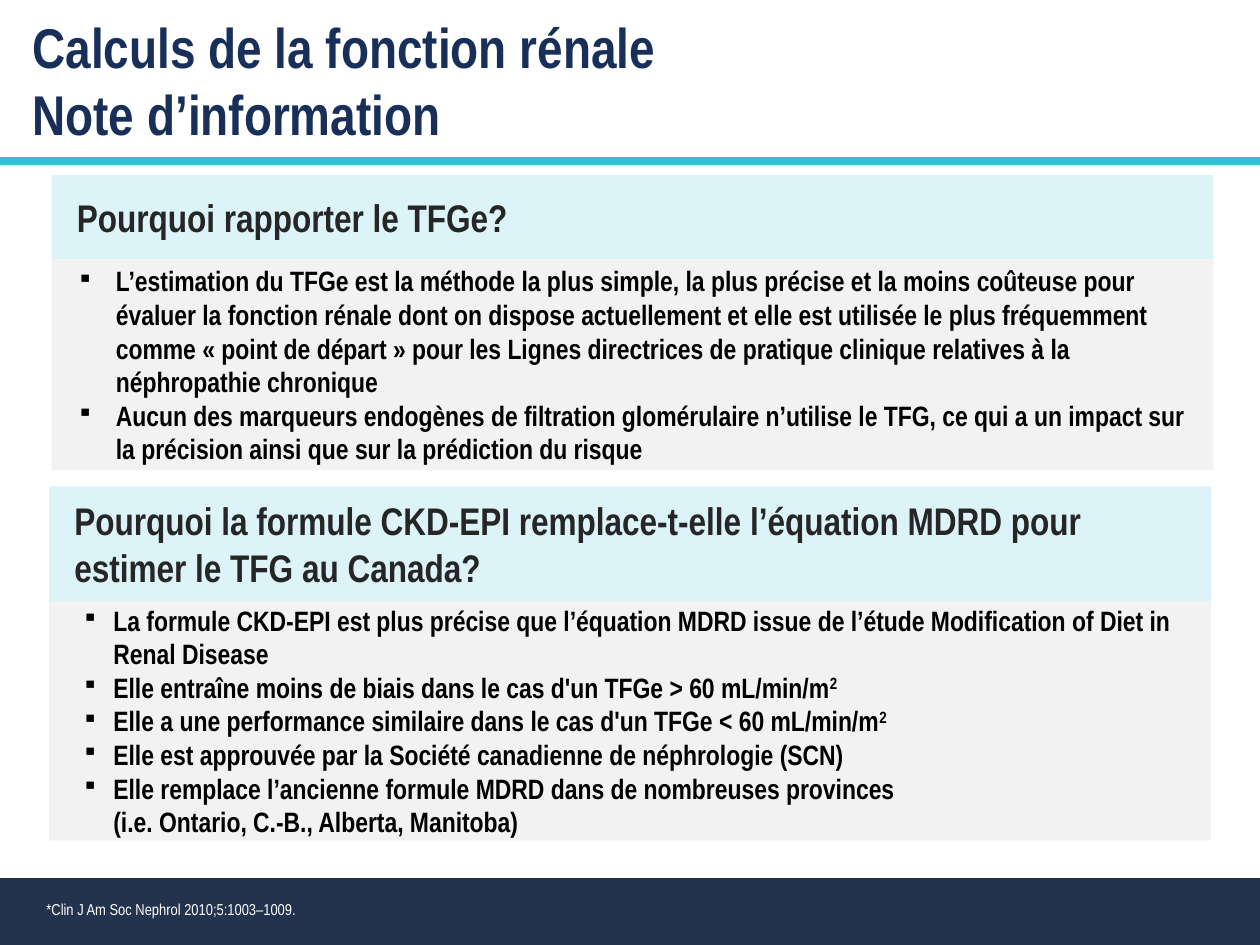
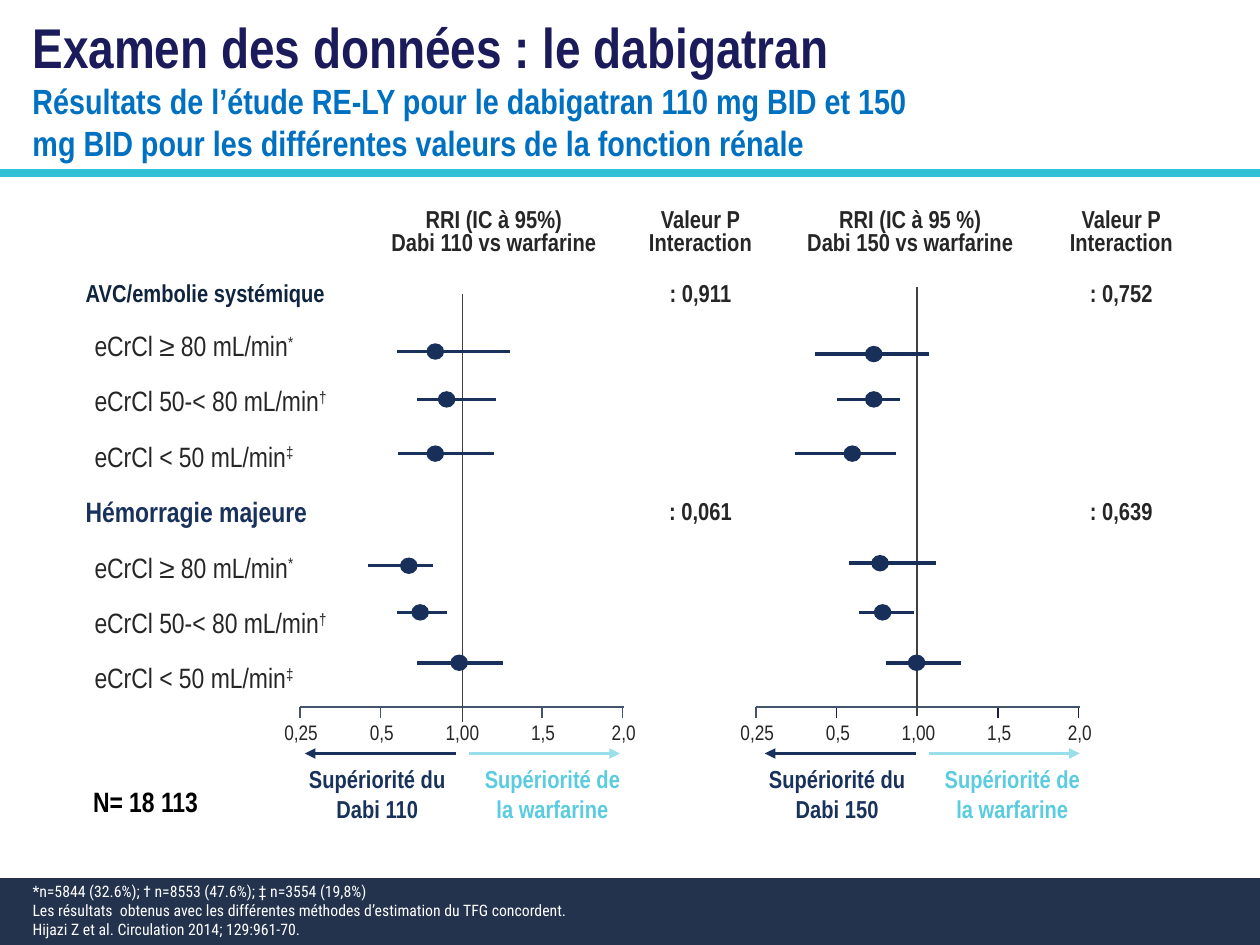
from lxml.etree import SubElement
from pptx import Presentation
from pptx.dml.color import RGBColor
from pptx.enum.shapes import MSO_CONNECTOR, MSO_SHAPE
from pptx.enum.text import MSO_ANCHOR, PP_ALIGN
from pptx.oxml.ns import qn
from pptx.util import Inches, Pt

NAVY, DEEP, INDIGO = "183059", "19325C", "1B1A5A"
SLATE, INK, BLACK, WHITE = "44546A", "262626", "000000", "FFFFFF"
TEAL, AQUA, SKY, PALE, GREY = "30C1D7", "5BCCDF", "99DFEB", "DCF4F8", "F2F2F2"
ALIGN = {"l": PP_ALIGN.LEFT, "c": PP_ALIGN.CENTER}


def color(code):
    return RGBColor.from_string(code)


def indent(para, left, first, bullet):
    props = para._p.get_or_add_pPr()
    props.set("marL", str(Inches(left)))
    props.set("indent", str(Inches(first)))
    if bullet:
        SubElement(props, qn("a:buSzPct")).set("val", "80000")
        SubElement(props, qn("a:buChar")).set("char", bullet)


def write(frame, paras, **base):
    """Fill a frame; an item is text or (text, format), and ^x^ raises x."""
    for index, item in enumerate(paras):
        words, extra = (item, {}) if isinstance(item, str) else item
        form = {"size": 14, "font": "Arial Narrow", "tone": BLACK, "bold": False,
                "align": "l", "space": None, "left": 0, "first": 0,
                "bullet": None, **base, **extra}
        para = frame.paragraphs[0] if index == 0 else frame.add_paragraph()
        para.alignment = ALIGN[form["align"]]
        if form["space"]:
            para.line_spacing = form["space"]
        indent(para, form["left"], form["first"], form["bullet"])
        for row, line in enumerate(words.split("\n")):
            if row:
                para.add_line_break()
            for part, piece in enumerate(line.split("^")):
                if not piece:
                    continue
                run = para.add_run()
                run.text = piece
                run.font.name = form["font"]
                run.font.size = Pt(form["size"])
                run.font.bold = form["bold"]
                run.font.color.rgb = color(form["tone"])
                if part % 2:
                    run._r.get_or_add_rPr().set("baseline", "30000")


def pad(target, side, top):
    target.margin_left = target.margin_right = Inches(side)
    target.margin_top = target.margin_bottom = Inches(top)


class Deck:
    def __init__(self):
        self.file = Presentation()
        self.file.slide_width, self.file.slide_height = Inches(10), Inches(7.5)
        self.slide = None

    def page(self, title, rule, notes, spot, font="Arial Narrow"):
        """Start a slide with its title, rule and footer."""
        self.slide = self.file.slides.add_slide(self.file.slide_layouts[6])
        self.shape(0, 6.97, 10, 0.53, fill="23334E")
        self.text(0.16, 0.05, 7.16, 1.2, title, size=32, bold=True)
        self.line(0, rule, 10, rule, TEAL, 4.5)
        self.text(*spot, notes, size=9, font=font, tone=WHITE)

    def shape(self, x, y, w, h, kind=MSO_SHAPE.RECTANGLE, fill=None, edge=None):
        item = self.slide.shapes.add_shape(kind, Inches(x), Inches(y), Inches(w), Inches(h))
        item.shadow.inherit = False
        if fill:
            item.fill.solid()
            item.fill.fore_color.rgb = color(fill)
        else:
            item.fill.background()
        if edge:
            item.line.color.rgb = color(edge)
            item.line.width = Pt(0.75)
        else:
            item.line.fill.background()
        return item

    def label(self, x, y, w, h, paras, kind=MSO_SHAPE.RECTANGLE, fill=None,
              side=0.2, top=0.2, **form):
        frame = self.shape(x, y, w, h, kind, fill).text_frame
        frame.word_wrap = True
        frame.vertical_anchor = MSO_ANCHOR.MIDDLE
        pad(frame, side, top)
        write(frame, paras, **form)

    def text(self, x, y, w, h, paras, wrap=True, tight=False, **form):
        box = self.slide.shapes.add_textbox(Inches(x), Inches(y), Inches(w), Inches(h))
        box.text_frame.word_wrap = wrap
        if tight:
            pad(box.text_frame, 0, 0)
        write(box.text_frame, paras, **form)

    def line(self, x1, y1, x2, y2, tone, width, arrow=False):
        item = self.slide.shapes.add_connector(
            MSO_CONNECTOR.STRAIGHT, Inches(x1), Inches(y1), Inches(x2), Inches(y2))
        item.line.color.rgb = color(tone)
        item.line.width = Pt(width)
        props = item._element.spPr
        if arrow:
            SubElement(props.find(qn("a:ln")), qn("a:tailEnd")).set("type", "triangle")
        SubElement(props, qn("a:effectLst"))

    def card(self, x, y, head, body, title, items, hang):
        self.label(x, y, 9.22, head, [title], fill=PALE, size=22, tone=INK, bold=True)
        self.label(x, y + head, 9.22, body, items, fill=GREY, size=16, bold=True,
                   left=0.31, first=-hang, bullet="▪")

    def table(self, x, y, widths, heights, cells):
        """Place a clear table; cells maps (row, column) to (paragraphs, format)."""
        grid = self.slide.shapes.add_table(
            len(heights), len(widths), Inches(x), Inches(y),
            Inches(sum(widths)), Inches(sum(heights))).table
        grid.first_row = grid.horz_banding = False
        for col, width in zip(grid.columns, widths):
            col.width = Inches(width)
        for row, height in zip(grid.rows, heights):
            row.height = Inches(height)
        for cell in grid.iter_cells():
            cell.fill.background()
            cell.vertical_anchor = MSO_ANCHOR.MIDDLE
            pad(cell, 0.1, 0.02)
        for spot, (paras, form) in cells.items():
            write(grid.cell(*spot).text_frame, paras, **form)

    def forest(self, left, unity, top, turn, tone, tick, dose, spans):
        """Draw one forest plot; each span is low, middle, high and height."""
        axis = 5.61
        for step, value in enumerate(["0,25", "0,5", "1,00", "1,5", "2,0"]):
            mark = left + 0.64 * step
            width = 0.27 if len(value) == 4 else 0.19
            self.text(mark + 0.01 - width / 2, 5.73, width, 0.18, [value], wrap=False,
                      tight=True, size=12, tone=INK, align="c", space=0.9)
            if step != 2:
                self.line(mark, axis + 0.09, mark, axis, tick if step else SLATE, 1)
        self.line(left, axis, left + 2.57, axis, SLATE, 1)
        sides = [(-1, DEEP, DEEP, -1.31, f"Supériorité du Dabi {dose}"),
                 (1, SKY, AQUA, 0.08, "Supériorité de la warfarine")]
        for way, stroke, ink, shift, words in sides:
            self.line(turn + way * 0.05, 5.98, turn + way * 1.25, 5.98, stroke, 2, True)
            self.label(turn + shift, 6.02, 1.27, 0.56, [words], MSO_SHAPE.ROUNDED_RECTANGLE,
                       side=0, top=0.05, tone=ink, bold=True, align="c")
        self.line(unity, top + 3.4, unity, top, "404040", 1)
        for low, mid, high, y in spans:
            self.line(low, y, high, y, tone, 2)
            self.shape(mid - 0.06, y - 0.06, 0.13, 0.12, MSO_SHAPE.OVAL, NAVY, tone)


def renal(deck):
    deck.page(["Calculs de la fonction rénale", "Note d’information"], 1.28,
              ["*Clin J Am Soc Nephrol 2010;5:1003–1009."], (0.27, 7.09, 4.75, 0.25))
    deck.card(0.41, 1.39, 0.67, 1.67, "Pourquoi rapporter le TFGe?", [
        "L’estimation du TFGe est la méthode la plus simple, la plus précise et la moins "
        "coûteuse pour évaluer la fonction rénale dont on dispose actuellement et elle est "
        "utilisée le plus fréquemment comme « point de départ » pour les Lignes directrices "
        "de pratique clinique relatives à la néphropathie chronique",
        "Aucun des marqueurs endogènes de filtration glomérulaire n’utilise le TFG, ce qui a "
        "un impact sur la précision ainsi que sur la prédiction du risque"], 0.31)
    deck.card(0.39, 3.86, 0.91, 1.9,
              "Pourquoi la formule CKD-EPI remplace-t-elle l’équation MDRD pour estimer "
              "le TFG au Canada?", [
                  "La formule CKD-EPI est plus précise que l’équation MDRD issue de l’étude "
                  "Modification of Diet in Renal Disease",
                  "Elle entraîne moins de biais dans le cas d'un TFGe > 60 mL/min/m^2^",
                  "Elle a une performance similaire dans le cas d'un TFGe < 60 mL/min/m^2^",
                  "Elle est approuvée par la Société canadienne de néphrologie (SCN)",
                  "Elle remplace l’ancienne formule MDRD dans de nombreuses provinces \n"
                  "(i.e. Ontario, C.-B., Alberta, Manitoba)"], 0.25)


def trial(deck):
    deck.page([("Examen des données : le dabigatran", {"tone": INDIGO}),
               ("Résultats de l’étude RE-LY pour le dabigatran 110 mg BID et 150 mg BID "
                "pour les différentes valeurs de la fonction rénale",
                {"size": 20, "tone": "0070C0"})],
              1.37, ["*n=5844 (32.6%); † n=8553 (47.6%); ‡ n=3554 (19,8%)",
                     "Les résultats  obtenus avec les différentes méthodes d’estimation du "
                     "TFG concordent.\nHijazi Z et al. Circulation 2014; 129:961-70."],
              (0.16, 6.95, 4.75, 0.55), "Roboto Condensed")

    head = {"tone": INK, "bold": True, "align": "c"}
    value = {**head, "space": 1.5}
    name = {"bold": True, "space": 1.5}
    group = {"size": 16, "tone": INK, "space": 1.5, "left": 0.07}
    heads = [["RRI (IC à 95%)", "Dabi 110 vs warfarine"], ["Valeur P", "Interaction"],
             ["RRI (IC à 95 %)", "Dabi 150 vs warfarine"], ["Valeur P", "Interaction"]]
    cells = {(0, col): (words, head) for col, words in enumerate(heads, 1)}
    blocks = [(1, "AVC/embolie systémique", {"tone": "0F243E"}, ": 0,911", ": 0,752"),
              (5, "Hémorragie majeure", {"tone": DEEP, "size": 16}, ": 0,061", ": 0,639")]
    levels = ["≥ 80 mL/min^*^", "50-< 80 mL/min^†^", "< 50 mL/min^‡^"]
    for row, event, form, low, high in blocks:
        cells[row, 0] = ([event], {**name, **form})
        cells[row, 2] = ([low], value)
        cells[row, 4] = ([high], value)
        for step, level in enumerate(levels, 1):
            cells[row + step, 0] = ([f"eCrCl {level}"], group)
    deck.table(0.58, 1.6, [2.26, 2.16, 1.12, 2.21, 1.14], [0.51, 0.38] + [0.44] * 7, cells)

    deck.forest(2.38, 3.67, 2.33, 3.67, DEEP, SLATE, 110, [
        (3.15, 3.45, 4.05, 2.79), (3.31, 3.54, 3.94, 3.17), (3.16, 3.45, 3.92, 3.6),
        (2.92, 3.24, 3.44, 4.49), (3.15, 3.33, 3.55, 4.86), (3.31, 3.64, 3.99, 5.26)])
    deck.forest(6, 7.28, 2.28, 7.32, NAVY, INDIGO, 150, [
        (6.47, 6.93, 7.37, 2.81), (6.64, 6.93, 7.14, 3.17), (6.31, 6.76, 7.11, 3.6),
        (6.74, 6.98, 7.43, 4.47), (6.82, 7, 7.25, 4.86), (7.03, 7.27, 7.63, 5.26)])
    deck.text(0.64, 6.18, 1.04, 0.37, ["N= 18 113"], wrap=False, size=16, bold=True)


def main():
    deck = Deck()
    renal(deck)
    for para in deck.slide.shapes[1].text_frame.paragraphs:
        para.runs[0].font.color.rgb = color(NAVY)
    trial(deck)
    deck.file.save("out.pptx")


if __name__ == "__main__":
    main()
